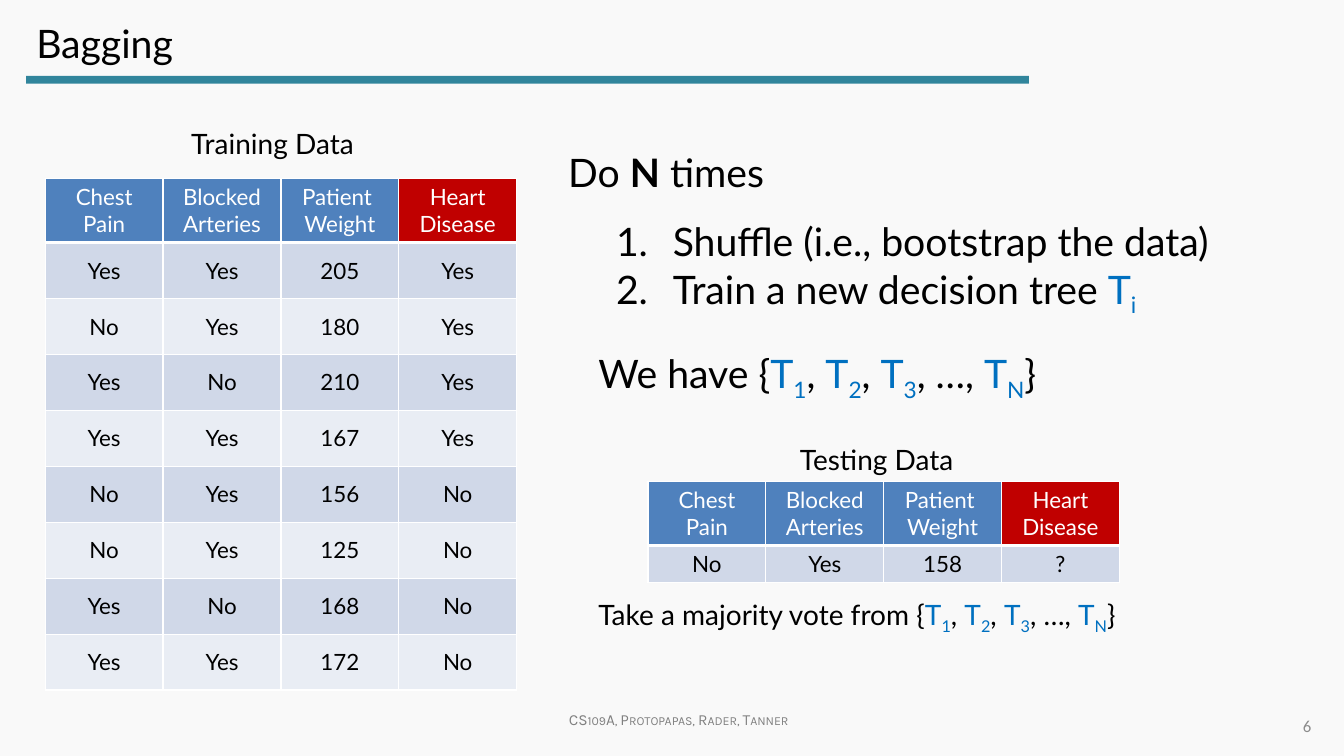
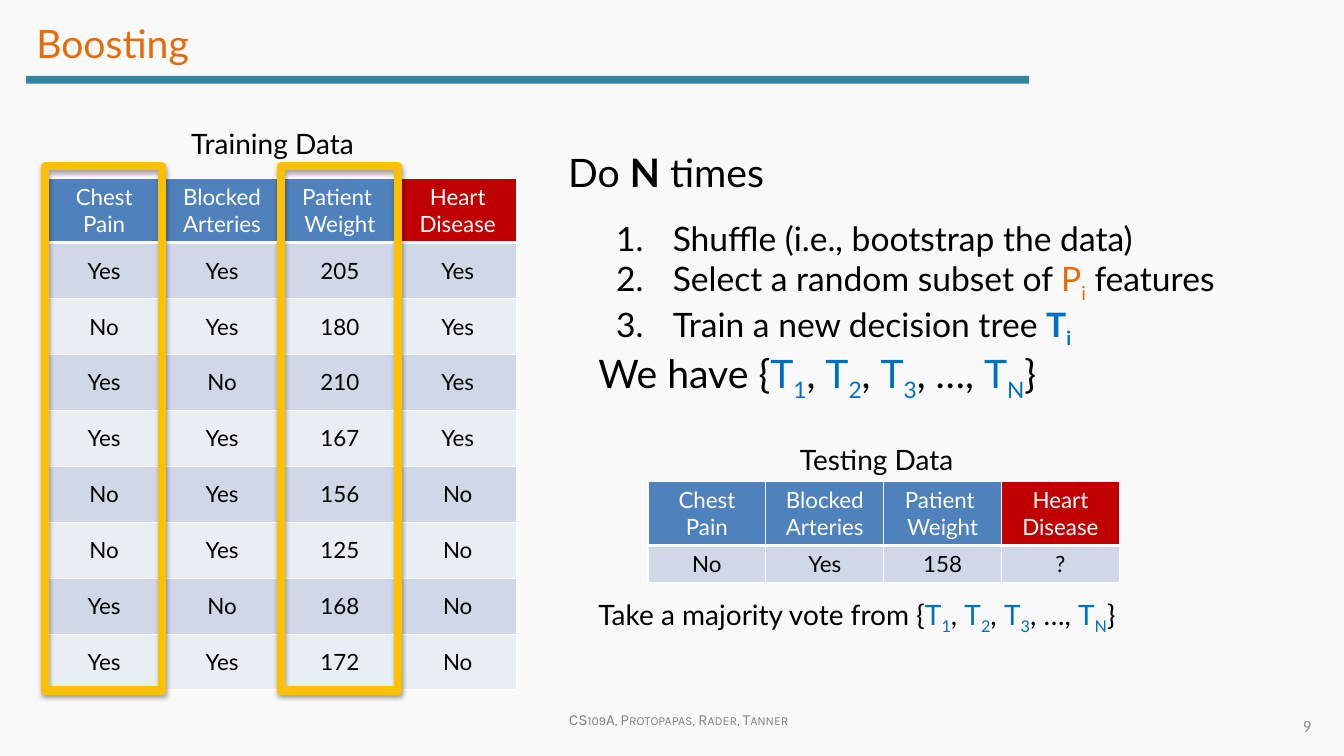
from dataclasses import dataclass

from lxml import etree
from pptx import Presentation
from pptx.dml.color import RGBColor
from pptx.enum.shapes import MSO_SHAPE
from pptx.enum.text import MSO_ANCHOR, MSO_AUTO_SIZE, PP_ALIGN
from pptx.oxml.ns import qn
from pptx.util import Cm, Pt

RECTANGLE = MSO_SHAPE.RECTANGLE
TOP, MIDDLE = MSO_ANCHOR.TOP, MSO_ANCHOR.MIDDLE
LEFT, CENTER, RIGHT = PP_ALIGN.LEFT, PP_ALIGN.CENTER, PP_ALIGN.RIGHT
NO_AUTOFIT = MSO_AUTO_SIZE.NONE

BACKGROUND = RGBColor(0xF9, 0xF9, 0xF9)
BLACK = RGBColor(0x00, 0x00, 0x00)
WHITE = RGBColor(0xFF, 0xFF, 0xFF)
TEAL = RGBColor(0x31, 0x85, 0x9C)
ORANGE = RGBColor(0xE4, 0x6C, 0x0A)
BLUE = RGBColor(0x00, 0x70, 0xC0)
YELLOW = RGBColor(0xFF, 0xC0, 0x00)
FOOTER_GREY = RGBColor(0x80, 0x80, 0x80)
NUMBER_GREY = RGBColor(0x8C, 0x8C, 0x8C)
FEATURE_FILL = RGBColor(0x4F, 0x81, 0xBD)
TARGET_FILL = RGBColor(0xC0, 0x00, 0x00)
ROW_FILLS = (RGBColor(0xD0, 0xD8, 0xE8), RGBColor(0xE9, 0xED, 0xF4))

FONT = "Lato"
COLUMN_WIDTH = 2.97
HEADER_HEIGHT = 1.6
TRAINING_LEFT, TRAINING_TOP = 1.14, 4.5

HEADERS = ("Chest Pain", "Blocked Arteries", "Patient \vWeight", "Heart Disease")
TRAINING_ROWS = (
    ("Yes", "Yes", "205", "Yes"),
    ("No", "Yes", "180", "Yes"),
    ("Yes", "No", "210", "Yes"),
    ("Yes", "Yes", "167", "Yes"),
    ("No", "Yes", "156", "No"),
    ("No", "Yes", "125", "No"),
    ("Yes", "No", "168", "No"),
    ("Yes", "Yes", "172", "No"),
)
TESTING_ROWS = (("No", "Yes", "158", "?"),)


@dataclass
class Piece:
    """A stretch of text in one format."""
    text: str
    color: RGBColor = BLACK
    bold: bool = False
    subscript: bool = False


def indexed(letter, index, color=BLUE, bold=False):
    return [Piece(letter, color, bold), Piece(index, color, bold, subscript=True)]


def tree_set(lead):
    """The lead-in followed by the set of trees T1 to TN."""
    pieces = [Piece(lead + " {")]
    for index, separator in (("1", ", "), ("2", ", "), ("3", ", …, "), ("N", "}")):
        pieces += indexed("T", index) + [Piece(separator)]
    return pieces


def format_run(run, size, color, font=FONT, bold=False):
    run.font.name = font
    run.font.size = Pt(size)
    run.font.color.rgb = color
    run.font.bold = bold


def write_pieces(paragraph, pieces, size):
    for piece in pieces:
        run = paragraph.add_run()
        run.text = piece.text
        format_run(run, size, piece.color, bold=piece.bold)
        if piece.subscript:
            run._r.get_or_add_rPr().set("baseline", "-25000")


def place(shape, left, top, width, height):
    shape.left, shape.top = Cm(left), Cm(top)
    shape.width, shape.height = Cm(width), Cm(height)


def add_text(slide, position, pieces, size):
    box = slide.shapes.add_textbox(*map(Cm, position))
    box.text_frame.word_wrap = True
    write_pieces(box.text_frame.paragraphs[0], pieces, size)


def add_small_print(slide, position, text, size, font, color, alignment):
    box = slide.shapes.add_textbox(*map(Cm, position))
    frame = box.text_frame
    frame.text = text
    paragraph = frame.paragraphs[0]
    paragraph.alignment = alignment
    format_run(paragraph.runs[0], size, color, font)
    return box


def add_frame(slide, title, title_color, number):
    """Title, band, footer and slide number."""
    shape = slide.shapes.title
    place(shape, 0.66, 0.36, 13.41, 1.45)
    frame = shape.text_frame
    frame.text = title
    frame.vertical_anchor = TOP
    frame.auto_size = NO_AUTOFIT
    frame.paragraphs[0].alignment = LEFT
    format_run(frame.paragraphs[0].runs[0], 28, title_color)

    band = slide.shapes.add_shape(RECTANGLE, Cm(0.66), Cm(1.91), Cm(25.27), Cm(0.2))
    band.shadow.inherit = False
    band.fill.solid()
    band.fill.fore_color.rgb = TEAL
    band.line.fill.background()

    footer = add_small_print(slide, (14.07, 17.78, 6.07, 0.74),
                             "CS109A, Protopapas, Rader, Tanner",
                             11, "Karla", FOOTER_GREY, CENTER)
    footer.text_frame.word_wrap = False
    footer.text_frame.paragraphs[0].runs[0]._r.get_or_add_rPr().set("cap", "small")

    number_box = add_small_print(slide, (25.4, 17.78, 7.9, 1.02), str(number),
                                 12, "Calibri", NUMBER_GREY, RIGHT)
    number_box.text_frame.word_wrap = True
    number_box.text_frame.vertical_anchor = MIDDLE


def add_steps(slide, steps, size, width, height):
    """Numbered list in the body placeholder."""
    body = slide.placeholders[1]
    place(body, 15.27, 5.36, width, height)
    frame = body.text_frame
    frame.auto_size = NO_AUTOFIT
    frame.vertical_anchor = TOP
    for index, pieces in enumerate(steps):
        paragraph = frame.add_paragraph() if index else frame.paragraphs[0]
        paragraph.space_before = Pt(0)
        properties = paragraph._p.get_or_add_pPr()
        properties.set("marL", str(Cm(1.43)))
        properties.set("indent", str(-Cm(1.43)))
        etree.SubElement(properties, qn("a:buAutoNum"), type="arabicPeriod")
        write_pieces(paragraph, pieces, size)


def set_borders(cell, top, bottom):
    """White borders; top and bottom widths in points, sides 1 pt."""
    properties = cell._tc.get_or_add_tcPr()
    widths = (("a:lnL", 1), ("a:lnR", 1), ("a:lnT", top), ("a:lnB", bottom))
    for position, (tag, width) in enumerate(widths):
        line = etree.Element(qn(tag), w=str(Pt(width)))
        fill = etree.SubElement(line, qn("a:solidFill"))
        etree.SubElement(fill, qn("a:srgbClr"), val=str(WHITE))
        properties.insert(position, line)


def add_patient_table(slide, left, top, rows, row_height):
    column_count = len(HEADERS)
    height = HEADER_HEIGHT + row_height * len(rows)
    table = slide.shapes.add_table(
        len(rows) + 1, column_count, Cm(left), Cm(top),
        Cm(COLUMN_WIDTH * column_count), Cm(height)).table
    for column in table.columns:
        column.width = Cm(COLUMN_WIDTH)
    for row_index, texts in enumerate((HEADERS, *rows)):
        is_header = row_index == 0
        table.rows[row_index].height = Cm(HEADER_HEIGHT if is_header else row_height)
        for column_index, text in enumerate(texts):
            cell = table.cell(row_index, column_index)
            if is_header:
                is_target = column_index == column_count - 1
                fill = TARGET_FILL if is_target else FEATURE_FILL
            else:
                fill = ROW_FILLS[(row_index - 1) % 2]
            cell.fill.solid()
            cell.fill.fore_color.rgb = fill
            set_borders(cell, 3 if row_index == 1 else 1, 3 if is_header else 1)
            cell.vertical_anchor = TOP if is_header else MIDDLE
            cell.text_frame.text = text
            paragraph = cell.text_frame.paragraphs[0]
            paragraph.alignment = CENTER
            for run in paragraph.runs:
                format_run(run, 16, WHITE if is_header else BLACK)


def add_column_highlight(slide, column_index):
    left = TRAINING_LEFT + column_index * COLUMN_WIDTH
    outline = slide.shapes.add_shape(RECTANGLE, Cm(left), Cm(4.19), Cm(2.95), Cm(13.21))
    outline.fill.background()
    outline.line.color.rgb = YELLOW
    outline.line.width = Pt(6)
    outline.shadow.inherit = False
    effects = outline._element.spPr.find(qn("a:effectLst"))
    shadow = etree.SubElement(effects, qn("a:outerShdw"), blurRad=str(Pt(3.1)),
                              dist=str(Pt(1.8)), dir="5400000", rotWithShape="0")
    color = etree.SubElement(shadow, qn("a:srgbClr"), val=str(BLACK))
    etree.SubElement(color, qn("a:alpha"), val="35000")


def add_ensemble_content(slide):
    """Tables and statements that both methods share."""
    add_patient_table(slide, TRAINING_LEFT, TRAINING_TOP, TRAINING_ROWS, 1.41)
    add_patient_table(slide, 16.33, 12.14, TESTING_ROWS, 0.93)
    add_text(slide, (4.57, 3.07, 5.87, 1.12), [Piece("Training Data")], 20)
    add_text(slide, (19.91, 11.02, 5.87, 1.12), [Piece("Testing Data")], 20)
    add_text(slide, (14.07, 3.61, 13.41, 1.45),
             [Piece("Do "), Piece("N", bold=True), Piece(" times")], 28)
    add_text(slide, (14.83, 8.69, 13.41, 1.45), tree_set("We have"), 28)
    add_text(slide, (14.83, 14.94, 15.62, 1.12),
             tree_set("Take a majority vote from"), 20)


def add_method_slide(presentation, title, title_color, number):
    slide = presentation.slides.add_slide(presentation.slide_layouts[1])
    add_frame(slide, title, title_color, number)
    add_ensemble_content(slide)
    return slide


def main():
    presentation = Presentation()
    presentation.slide_width, presentation.slide_height = Cm(33.87), Cm(19.05)
    background = presentation.slide_master.background.fill
    background.solid()
    background.fore_color.rgb = BACKGROUND

    shuffle = [Piece("Shuffle (i.e., bootstrap the data)")]
    train = Piece("Train a new decision tree ")

    bagging = add_method_slide(presentation, "Bagging", BLACK, 6)
    add_steps(bagging, [shuffle, [train, *indexed("T", "i")]], 28, 16.33, 2.64)

    boosting = add_method_slide(presentation, "Boosting", ORANGE, 9)
    select = [Piece("Select a random subset of "), *indexed("P", "i", ORANGE),
              Piece(" features")]
    add_steps(boosting, [shuffle, select, [train, *indexed("T", "i", bold=True)]],
              24, 17.65, 3.33)
    for column_index in (0, 2):
        add_column_highlight(boosting, column_index)

    presentation.save("out.pptx")


if __name__ == "__main__":
    main()
